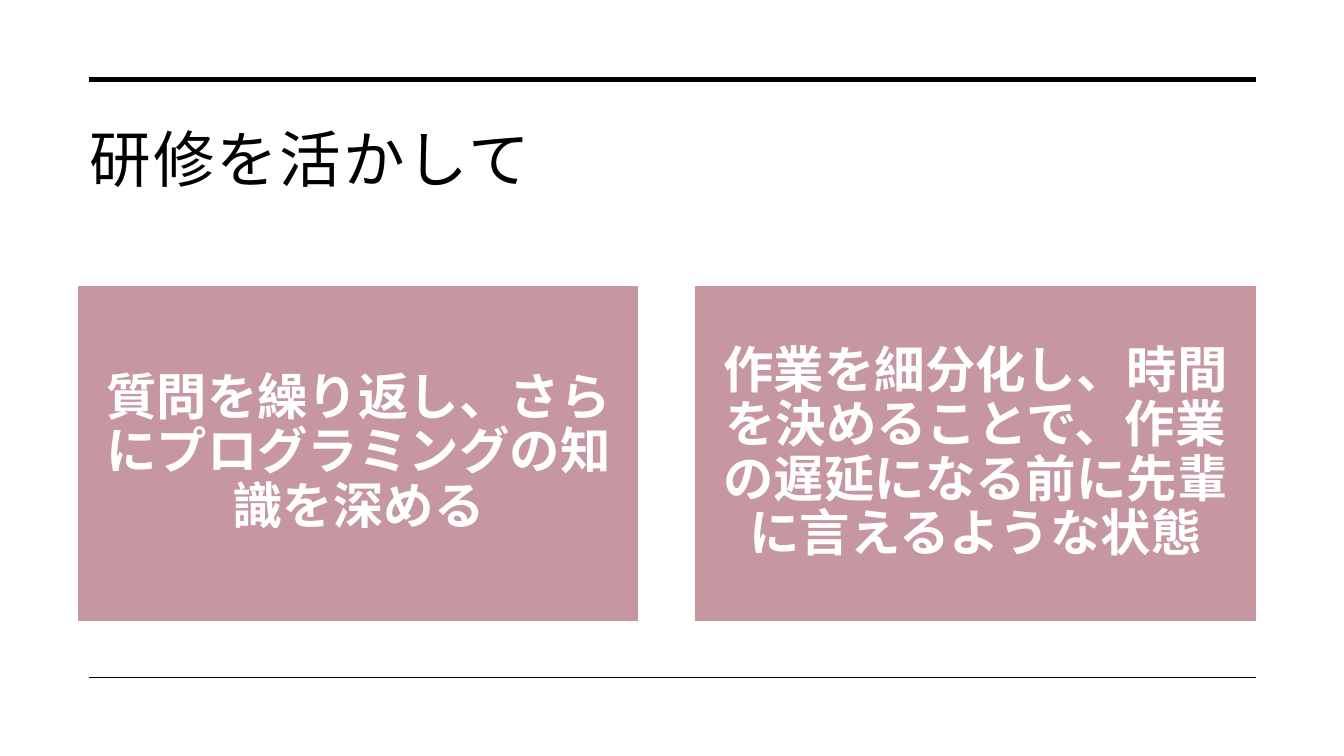
from dataclasses import dataclass

import pptx
import pptx.dml.color
import pptx.enum.shapes
import pptx.enum.text
import pptx.oxml.ns
import pptx.slide
import pptx.text.text
import pptx.util
from lxml import etree

EMU_PER_PX = 9144  # 100 px to the inch
FONT = "Noto Sans CJK JP"
BLACK = pptx.dml.color.RGBColor(0x00, 0x00, 0x00)
WHITE = pptx.dml.color.RGBColor(0xFF, 0xFF, 0xFF)
ROSE = pptx.dml.color.RGBColor(0xC6, 0x96, 0xA1)

RULE_LEFT, RULE_RIGHT = 88, 1246
CARD_LEFT, CARD_TOP, CARD_WIDTH, CARD_HEIGHT = 77, 283, 557, 334
CARD_PITCH = 612


@dataclass(frozen=True)
class Rule:
    y: int
    weight: float


RULES = [Rule(79, 3.5), Rule(672, 1)]
GOALS = [
    "質問を繰り返し、さらにプログラミングの知識を深める",
    "作業を細分化し、時間を決めることで、作業の遅延になる前に先輩に言えるような状態",
]


def px(length: int) -> pptx.util.Emu:
    return pptx.util.Emu(length * EMU_PER_PX)


def set_margins(frame: pptx.text.text.TextFrame, side: int, bottom: int) -> None:
    frame.margin_left = frame.margin_top = frame.margin_right = px(side)
    frame.margin_bottom = px(bottom)


def style_font(font: pptx.text.text.Font, size: int,
               color: pptx.dml.color.RGBColor, bold: bool) -> None:
    """Set the font for Latin and East Asian text alike."""
    font.size = pptx.util.Pt(size)
    font.bold = bold
    font.color.rgb = color
    font.name = FONT
    east_asian = etree.Element(pptx.oxml.ns.qn("a:ea"), typeface=FONT)
    font._element.find(pptx.oxml.ns.qn("a:latin")).addnext(east_asian)


def add_rule(slide: pptx.slide.Slide, rule: Rule) -> None:
    line = slide.shapes.add_connector(
        pptx.enum.shapes.MSO_CONNECTOR.STRAIGHT,
        px(RULE_LEFT), px(rule.y), px(RULE_RIGHT), px(rule.y))
    line.line.color.rgb = BLACK
    line.line.width = pptx.util.Pt(rule.weight)
    etree.SubElement(line._element.spPr, pptx.oxml.ns.qn("a:effectLst"))


def fill_title(slide: pptx.slide.Slide, heading: str) -> None:
    title = slide.shapes.title
    title.left, title.top, title.width, title.height = map(px, (77, 101, 1169, 150))
    frame = title.text_frame
    frame.text = heading
    frame.auto_size = pptx.enum.text.MSO_AUTO_SIZE.NONE
    frame.vertical_anchor = pptx.enum.text.MSO_ANCHOR.TOP
    set_margins(frame, 12, 10)
    paragraph = frame.paragraphs[0]
    paragraph.alignment = pptx.enum.text.PP_ALIGN.LEFT
    paragraph.line_spacing = 1.1
    style_font(paragraph.font, 44, BLACK, False)
    paragraph.font._element.set("spc", "130")


def add_goal(slide: pptx.slide.Slide, left: int, goal: str) -> None:
    card = slide.shapes.add_shape(
        pptx.enum.shapes.MSO_SHAPE.RECTANGLE,
        px(left), px(CARD_TOP), px(CARD_WIDTH), px(CARD_HEIGHT))
    card.shadow.inherit = False
    card.fill.solid()
    card.fill.fore_color.rgb = ROSE
    card.line.color.rgb = WHITE
    card.line.width = pptx.util.Pt(1)
    frame = card.text_frame
    frame.text = goal
    frame.word_wrap = True
    frame.vertical_anchor = pptx.enum.text.MSO_ANCHOR.MIDDLE
    set_margins(frame, 15, 15)
    paragraph = frame.paragraphs[0]
    paragraph.alignment = pptx.enum.text.PP_ALIGN.CENTER
    paragraph.line_spacing = 0.9
    style_font(paragraph.font, 36, WHITE, True)


def main() -> None:
    presentation = pptx.Presentation()
    presentation.slide_width, presentation.slide_height = px(1333), px(750)
    slide = presentation.slides.add_slide(presentation.slide_layouts[5])
    for rule in RULES:
        add_rule(slide, rule)
    fill_title(slide, "研修を活かして")
    for column, goal in enumerate(GOALS):
        add_goal(slide, CARD_LEFT + column * CARD_PITCH, goal)
    presentation.save("out.pptx")


if __name__ == "__main__":
    main()
